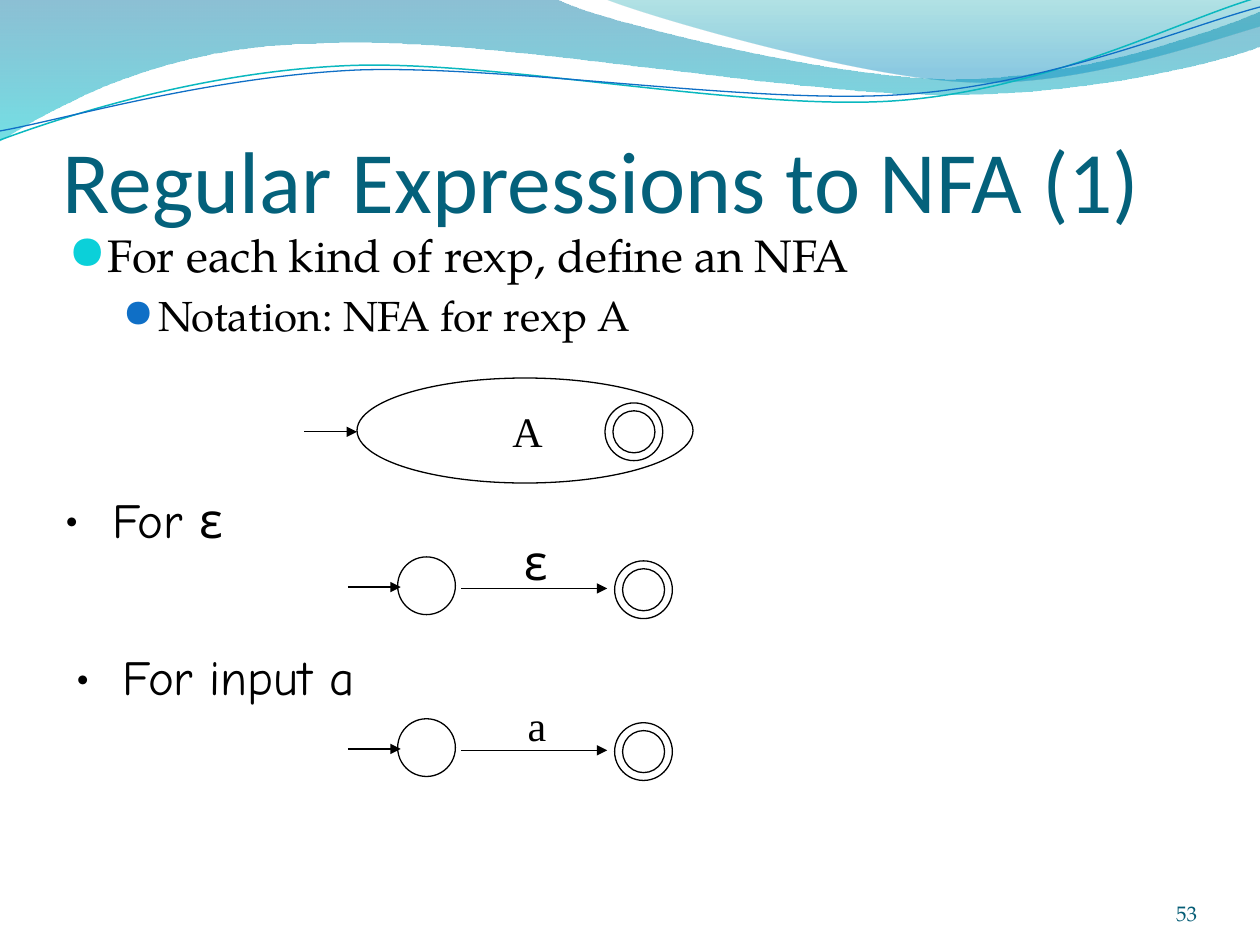
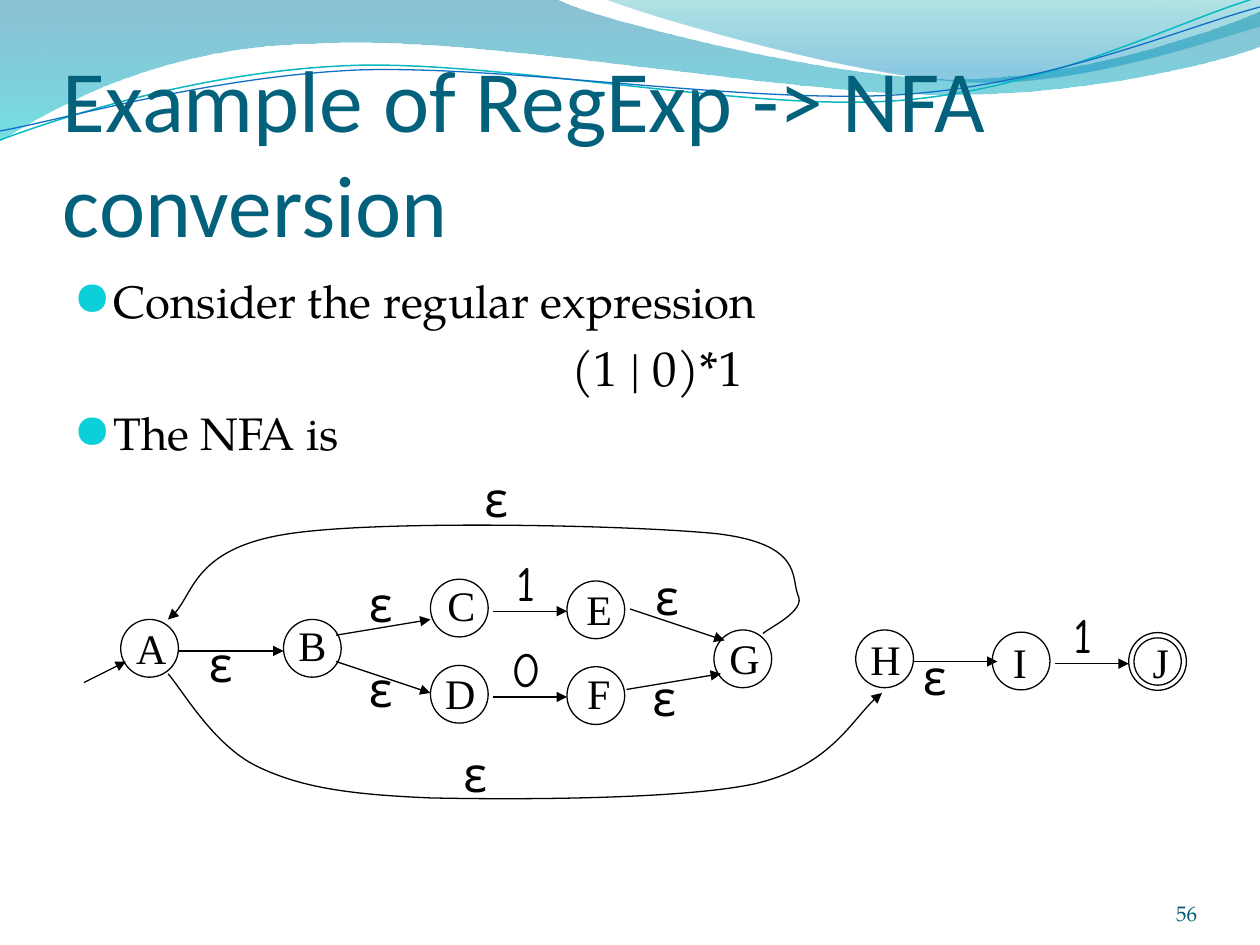
from lxml.etree import SubElement
from pptx import Presentation
from pptx.dml.color import RGBColor
from pptx.enum.shapes import MSO_CONNECTOR as Connector, MSO_SHAPE as Preset
from pptx.enum.text import MSO_ANCHOR as Anchor, MSO_AUTO_SIZE as AutoSize, PP_ALIGN as Align
from pptx.oxml.ns import qn
from pptx.util import Pt

BLACK = RGBColor(0x00, 0x00, 0x00)
TITLE_TEAL = RGBColor(0x04, 0x61, 0x7B)
NUMBER_TEAL = RGBColor(0x04, 0x5C, 0x75)
BULLET_CYAN = RGBColor(0x0B, 0xD0, 0xD9)
BULLET_BLUE = RGBColor(0x0F, 0x6F, 0xC6)
WAVE_CYAN = RGBColor(0x0A, 0xB8, 0xBF)
BAND_BLUE = RGBColor(0x00, 0x74, 0xA1)
BAND_CYAN = RGBColor(0x00, 0xC6, 0xCF)
CREST_CYAN = RGBColor(0x00, 0xA1, 0xA9)
CREST_BLUE = RGBColor(0x00, 0x8B, 0xBF)

TITLE_FONT, BODY_FONT = "Calibri", "TeX Gyre Pagella"
STATE_FONT, SYMBOL_FONT = "Times New Roman", "Comic Neue"

NO_INSETS = dict(margin_left=0, margin_top=0, margin_right=0, margin_bottom=0)
STATE_LABEL = dict(name=STATE_FONT, size=Pt(24))
SYMBOL_LABEL = dict(name=SYMBOL_FONT, size=Pt(28))
LABEL_WIDTHS = {"ε": 26.5, "1": 27.5, "0": 31.5, "a": 25, "B": 30, "C": 30,
                "E": 29, "F": 28, "I": 22.5, "J": 24}
WIDE_LABEL = 31.5

TOP_BULLET = dict(indent=21.6, hanging=21.6, bullet="●", bullet_font=BODY_FONT,
                  bullet_color=BULLET_CYAN, bullet_size=95)
SUB_BULLET = dict(indent=50.4, hanging=19.44, bullet="●", bullet_font=BODY_FONT,
                  bullet_color=BULLET_BLUE, bullet_size=85)
CENTRED_LINE = dict(indent=50.4, hanging=19.44, align=Align.CENTER)
DOT_BULLET = dict(indent=27, hanging=27, bullet="•", bullet_font=SYMBOL_FONT)

STATE_SIZE = 33

# A path is a start point, then lines (x, y) and Bézier curves (two controls and an end).
BAND = [(0, -1), (317, -1), (343, 12, 478, 45, 546, 45), (614, 45, 690, 19, 720, 6.5),
        (721, 26), (708, 32, 626, 55, 537, 54), (448, 54, 275, 20, 185, 24.5),
        (93, 25, 33, 60, -1, 81)]
CREST = [(345, -1), (366, 8, 491, 45, 554, 47), (616, 50, 692, 23, 720, 15), (720, 0)]
CYAN_WAVE = [(0, 80), (35, 67, 114, 41, 199, 37.5), (284, 34, 427, 64, 513, 57.5),
             (600, 51, 675, 11, 719, -1.5)]
BLUE_WAVE = [(-1, 75), (34, 69, 118, 44, 204, 40), (290, 37, 430, 60, 516, 54),
             (602, 48, 678, 15, 720, 4)]
SKIP_LOOP = [(96, 385), (104, 394, 122, 426, 147, 438), (172, 450, 199, 454, 246, 456),
             (293, 457, 388, 457, 431, 448), (474, 438, 489, 407, 504, 396)]
REPEAT_LOOP = [(436, 362), (439, 359, 461, 349, 456, 340), (452, 330, 459, 311, 410, 305),
               (361, 300, 217, 297, 165, 305), (112, 313, 110, 344, 96, 354)]

# Left and top of the circle, then centre and top of its letter.
STATES = {"A": (69, 354, 86.5, 352), "B": (162, 354, 178.5, 350.5),
          "C": (246, 331, 263.5, 327.5), "D": (246, 380.25, 263, 378),
          "E": (324, 332, 342.5, 330), "F": (324, 381, 342.5, 378),
          "G": (408, 360, 425.5, 358), "H": (489, 360, 506, 358.5),
          "I": (567, 361.25, 583, 360), "J": (645, 361.5, 663.5, 360)}
TRANSITIONS = [(48, 390, 72, 378), (102, 372, 162, 372), (192, 363, 246, 354),
               (192, 378, 246, 396), (282, 349.25, 324, 349.25),
               (282, 398.25, 324, 398.25), (360, 348, 414, 366),
               (358, 394, 412, 385), (522, 378, 570, 378), (603, 379.25, 645, 379.25)]
SYMBOLS = {"ε": [(283, 264), (125.5, 358.5), (217, 324), (217, 373), (380.5, 320.25),
                 (379, 378), (533.5, 366), (271, 421.5)],
           "1": [(302, 312), (620, 342)],
           "0": [(301, 361.5)]}


def set_format(target, values):
    for name, value in values.items():
        setattr(target, name, value)


def add_freeform(slide, path, close):
    """Lay out every point as a corner, then join each three of a curve into one Bézier."""
    points = [(Pt(x), Pt(y)) for part in path for x, y in zip(part[::2], part[1::2])]
    builder = slide.shapes.build_freeform(*points[0])
    builder.add_line_segments(points[1:], close=close)
    shape = builder.convert_to_shape()
    shape.shadow.inherit = False

    outline = shape.element.find(".//" + qn("a:path"))
    corners = iter(outline.findall(qn("a:lnTo")))
    for part in path[1:]:
        first, *others = [next(corners) for _ in part[::2]]
        if others:
            curve = SubElement(outline, qn("a:cubicBezTo"))
            first.addprevious(curve)
            for corner in (first, *others):
                curve.append(corner[0])
                outline.remove(corner)
    return shape


def set_line(shape, color=BLACK, width=0.75, arrow=False):
    shape.line.color.rgb = color
    shape.line.width = Pt(width)
    if arrow:
        line = shape.element.find(".//" + qn("a:ln"))
        SubElement(line, qn("a:tailEnd"), type="triangle")


def add_band(slide, path, *stops):
    """Fill a closed path from top to bottom; a stop is position, colour, opacity in percent."""
    shape = add_freeform(slide, path, close=True)
    shape.line.fill.background()
    shape.fill.gradient()
    shape.fill.gradient_angle = 270
    for stop, (position, color, _) in zip(shape.fill.gradient_stops, stops):
        stop.position = position
        stop.color.rgb = color
    colors = shape.element.spPr.iter(qn("a:srgbClr"))
    for element, (_, _, opacity) in zip(list(colors), stops):
        SubElement(element, qn("a:alpha"), val=str(opacity * 1000))


def add_curve(slide, path, **line):
    shape = add_freeform(slide, path, close=False)
    shape.fill.background()
    set_line(shape, **line)


def add_arrow(slide, x1, y1, x2, y2):
    connector = slide.shapes.add_connector(Connector.STRAIGHT, Pt(x1), Pt(y1), Pt(x2), Pt(y2))
    set_line(connector, arrow=True)
    SubElement(connector.element.spPr, qn("a:effectLst"))


def add_ellipse(slide, x, y, width, height):
    shape = slide.shapes.add_shape(Preset.OVAL, Pt(x), Pt(y), Pt(width), Pt(height))
    shape.shadow.inherit = False
    shape.fill.background()
    set_line(shape)


def add_state(slide, x, y, ring_gap=0):
    """Draw a state circle; a ring gap makes it an accepting state."""
    add_ellipse(slide, x, y, STATE_SIZE, STATE_SIZE)
    if ring_gap:
        inner = STATE_SIZE - 2 * ring_gap
        add_ellipse(slide, x + ring_gap, y + ring_gap, inner, inner)


def add_text_box(slide, x, y, width, height, **frame_format):
    box = slide.shapes.add_textbox(Pt(x), Pt(y), Pt(width), Pt(height))
    set_format(box.text_frame, dict(word_wrap=True, **frame_format))
    return box.text_frame


def write(paragraph, text, color=BLACK, **font_format):
    run = paragraph.add_run()
    run.text = text
    run.font.color.rgb = color
    set_format(run.font, font_format)


def add_label(slide, text, center, top, style):
    width = LABEL_WIDTHS.get(text, WIDE_LABEL)
    frame = add_text_box(slide, center - width / 2, top, width, style["size"].pt * 1.48)
    set_format(frame, dict(word_wrap=False, auto_size=AutoSize.SHAPE_TO_FIT_TEXT))
    write(frame.paragraphs[0], text, **style)


def format_list_item(paragraph, size, indent, hanging, align=Align.LEFT, bullet=None,
                     bullet_font=None, bullet_color=None, bullet_size=None):
    set_format(paragraph, dict(alignment=align, space_before=Pt(0.2 * size)))
    properties = paragraph._p.get_or_add_pPr()
    properties.set("marL", str(Pt(indent)))
    properties.set("indent", str(-Pt(hanging)))
    if bullet_color:
        color = SubElement(properties, qn("a:buClr"))
        SubElement(color, qn("a:srgbClr"), val=str(bullet_color))
    if bullet_size:
        SubElement(properties, qn("a:buSzPct"), val=str(bullet_size * 1000))
    if bullet:
        SubElement(properties, qn("a:buFont"), typeface=bullet_font)
        SubElement(properties, qn("a:buChar"), char=bullet)
    else:
        SubElement(properties, qn("a:buNone"))


def add_list(slide, x, y, width, height, items, font=BODY_FONT):
    """Write items given as text, size, paragraph style."""
    frame = add_text_box(slide, x, y, width, height)
    for index, (text, size, style) in enumerate(items):
        paragraph = frame.add_paragraph() if index else frame.paragraphs[0]
        format_list_item(paragraph, size, **style)
        write(paragraph, text, name=font, size=Pt(size))


def add_base_slide(presentation, title, title_top, number):
    slide = presentation.slides.add_slide(presentation.slide_layouts[6])
    add_band(slide, BAND, (0, BAND_BLUE, 45), (1, BAND_CYAN, 55))
    add_band(slide, CREST, (0, CREST_CYAN, 30), (0.8, CREST_BLUE, 45))
    add_curve(slide, CYAN_WAVE, color=WAVE_CYAN, width=0.85)
    add_curve(slide, BLUE_WAVE, color=BULLET_BLUE)

    bottom = dict(NO_INSETS, vertical_anchor=Anchor.BOTTOM)
    frame = add_text_box(slide, 624, 500.5, 60, 28.75, **bottom)
    frame.paragraphs[0].alignment = Align.RIGHT
    write(frame.paragraphs[0], number, NUMBER_TEAL, name=BODY_FONT, size=Pt(12))

    frame = add_text_box(slide, 36, title_top, 648, 90, **dict(bottom, margin_top=Pt(3.6)))
    write(frame.paragraphs[0], title, TITLE_TEAL, name=TITLE_FONT, size=Pt(50))
    return slide


def add_one_step_nfa(slide, top, symbol, symbol_center, symbol_top, style):
    add_arrow(slide, 198.75, top + 17.25, 229, top + 17.25)
    add_state(slide, 227.25, top)
    add_arrow(slide, 263.5, top + 18, 347, top + 18)
    add_state(slide, 351.25, top + 2.25, ring_gap=4.5)
    add_label(slide, symbol, symbol_center, symbol_top, style)


def add_rules_slide(presentation):
    slide = add_base_slide(presentation, "Regular Expressions to NFA (1)", 42, "53")
    add_list(slide, 33, 126, 654, 78, [
        ("For each kind of rexp, define an NFA", 26, TOP_BULLET),
        ("Notation: NFA for rexp A", 24, SUB_BULLET)])

    add_ellipse(slide, 204, 216, 192, 60)
    add_label(slide, "A", 301.5, 228, STATE_LABEL)
    add_arrow(slide, 174, 246.75, 204, 246.75)
    add_state(slide, 345.75, 230.25, ring_gap=4.5)

    add_list(slide, 30, 276, 654, 48, [("For ε", 28, DOT_BULLET)], SYMBOL_FONT)
    add_one_step_nfa(slide, 318.25, "ε", 305.5, 300, SYMBOL_LABEL)
    add_list(slide, 36, 366, 654, 48, [("For input a", 28, DOT_BULLET)], SYMBOL_FONT)
    add_one_step_nfa(slide, 410.75, "a", 307, 396, STATE_LABEL)


def add_example_slide(presentation):
    slide = add_base_slide(presentation, "Example of RegExp -> NFA conversion", 55.5, "56")
    add_list(slide, 36, 152.5, 648, 345.5, [
        ("Consider the regular expression", 26, TOP_BULLET),
        ("(1 | 0)*1", 28, CENTRED_LINE),
        ("The NFA is", 26, TOP_BULLET)])

    for name, (x, y, letter_center, letter_top) in STATES.items():
        add_state(slide, x, y, ring_gap=3 if name == "J" else 0)
        add_label(slide, name, letter_center, letter_top, STATE_LABEL)
    for ends in TRANSITIONS:
        add_arrow(slide, *ends)
    for loop in (SKIP_LOOP, REPEAT_LOOP):
        add_curve(slide, loop, arrow=True)
    for symbol, places in SYMBOLS.items():
        for center, top in places:
            add_label(slide, symbol, center, top, SYMBOL_LABEL)


def main():
    presentation = Presentation()
    set_format(presentation, dict(slide_width=Pt(720), slide_height=Pt(540)))
    add_rules_slide(presentation)
    add_example_slide(presentation)
    presentation.save("out.pptx")


if __name__ == "__main__":
    main()
